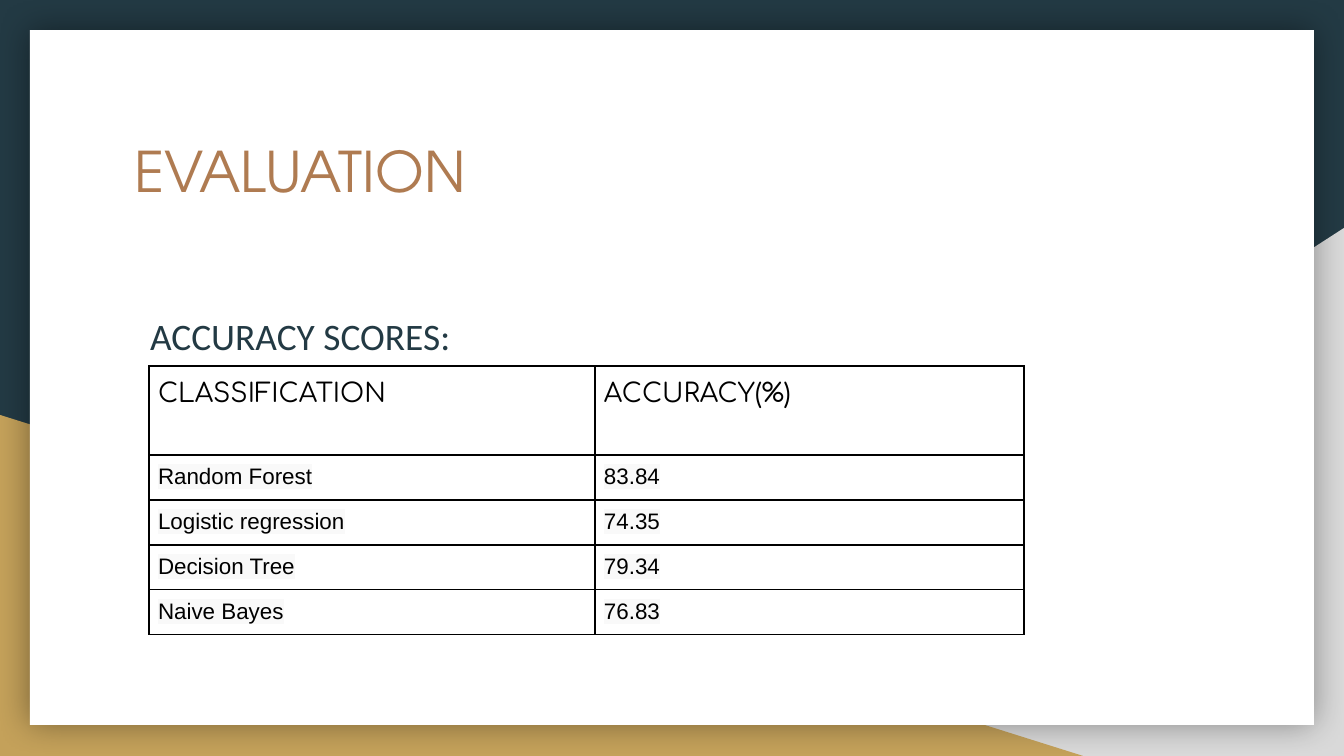
from lxml import etree
from pptx import Presentation
from pptx import util as u
from pptx.dml.color import RGBColor
from pptx.enum import shapes, text
from pptx.oxml import ns

EMU_PER_PX = u.Inches(10) / 1344
NAVY = RGBColor(0x23, 0x3A, 0x44)
GREY = RGBColor(0xD9, 0xD9, 0xD9)
GOLD = RGBColor(0xC4, 0xA1, 0x5A)
WHITE = RGBColor(0xFF, 0xFF, 0xFF)
COPPER = RGBColor(0xAF, 0x7B, 0x51)
BLACK = RGBColor(0, 0, 0)
HIGHLIGHT = RGBColor(0xF9, 0xF9, 0xF9)

HEADERS = ("CLASSIFICATION", "ACCURACY(%)")
SCORES = (
    ("Random Forest", "83.84"),
    ("Logistic regression", "74.35"),
    ("Decision Tree", "79.34"),
    ("Naive Bayes", "76.83"),
)


def px(length):
    return u.Emu(round(length * EMU_PER_PX))


def add_child(parent, tag, **attributes):
    return etree.SubElement(parent, ns.qn(tag), attributes)


def add_panel(slide, kind, box, color):
    shape = slide.shapes.add_shape(kind, *map(px, box))
    shape.shadow.inherit = False
    shape.fill.solid()
    shape.fill.fore_color.rgb = color
    shape.line.fill.background()
    return shape


def add_glow_shadow(shape):
    effects = shape._element.spPr.find(ns.qn("a:effectLst"))
    shadow = add_child(effects, "a:outerShdw", blurRad=str(u.Pt(18)), dist="0",
                       dir="0", algn="ctr", rotWithShape="0")
    color = add_child(shadow, "a:srgbClr", val=str(BLACK))
    add_child(color, "a:alpha", val="40000")


def draw_backdrop(slide, box):
    left, top, width, height = box
    right, bottom = left + width, top + height
    slide.background.fill.solid()
    slide.background.fill.fore_color.rgb = NAVY
    triangle = shapes.MSO_SHAPE.RIGHT_TRIANGLE
    grey_corner = add_panel(slide, triangle, (right - 817, bottom - 528, 817, 528), GREY)
    grey_corner._element.spPr.xfrm.set("flipH", "1")
    add_panel(slide, triangle, (left, bottom - 341, 1083, 341), GOLD)
    card_box = (left + 30, top + 30, width - 60, height - 61)
    add_glow_shadow(add_panel(slide, shapes.MSO_SHAPE.RECTANGLE, card_box, WHITE))


def format_paragraph(paragraph, font_name, size, color):
    for run in paragraph.runs:
        run.font.name = font_name
        run.font.size = u.Pt(size)
        run.font.color.rgb = color


def set_margins(target, margin):
    target.margin_left = target.margin_right = px(margin)
    target.margin_top = target.margin_bottom = px(margin)


def draw_text(slide, box, wording, font_name, size, color, line_spacing=1.0):
    frame = slide.shapes.add_textbox(*map(px, box)).text_frame
    frame.word_wrap = True
    frame.vertical_anchor = text.MSO_ANCHOR.TOP
    set_margins(frame, 13)
    frame.text = wording
    paragraph = frame.paragraphs[0]
    paragraph.line_spacing = line_spacing
    format_paragraph(paragraph, font_name, size, color)


def highlight_run(run):
    fill = run.font._element.find(ns.qn("a:solidFill"))
    highlight = etree.Element(ns.qn("a:highlight"))
    add_child(highlight, "a:srgbClr", val=str(HIGHLIGHT))
    fill.addnext(highlight)


def add_borders(cell):
    properties = cell._tc.get_or_add_tcPr()
    for side in ("a:lnL", "a:lnR", "a:lnT", "a:lnB"):
        border = add_child(properties, side, w=str(u.Pt(1)))
        fill = add_child(border, "a:solidFill")
        add_child(fill, "a:srgbClr", val=str(BLACK))


def fill_cell(cell, wording, is_header):
    set_margins(cell, 9)
    cell.vertical_anchor = text.MSO_ANCHOR.TOP
    add_borders(cell)
    cell.fill.background()
    cell.text = wording
    paragraph = cell.text_frame.paragraphs[0]
    if is_header:
        paragraph.line_spacing = 1.15
        format_paragraph(paragraph, "Comfortaa", 14, BLACK)
    else:
        format_paragraph(paragraph, "Arial", 12, BLACK)
        highlight_run(paragraph.runs[0])


def draw_scores(slide, box):
    width, height = box[2:]
    first_column, header_height = 446, 89
    rows = (HEADERS, *SCORES)
    table = slide.shapes.add_table(len(rows), len(HEADERS), *map(px, box)).table
    table.first_row = table.horz_banding = False
    for column, column_width in zip(table.columns, (first_column, width - first_column)):
        column.width = px(column_width)
    for index, values in enumerate(rows):
        is_header = index == 0
        row = table.rows[index]
        row.height = px(header_height if is_header else (height - header_height) / len(SCORES))
        for cell, wording in zip(row.cells, values):
            fill_cell(cell, wording, is_header)


def main():
    presentation = Presentation()
    presentation.slide_width, presentation.slide_height = px(1344), px(756)
    slide = presentation.slides.add_slide(presentation.slide_layouts[6])
    draw_backdrop(slide, (0, 0, 1344, 756))
    draw_text(slide, (121, 124, 1103, 140), "EVALUATION", "TeX Gyre Adventor", 30, COPPER)
    draw_text(slide, (137, 293, 1087, 70), "ACCURACY SCORES:", "Calibri", 20, NAVY, 1.15)
    draw_scores(slide, (149, 366, 875, 264))
    presentation.save("out.pptx")


if __name__ == "__main__":
    main()
